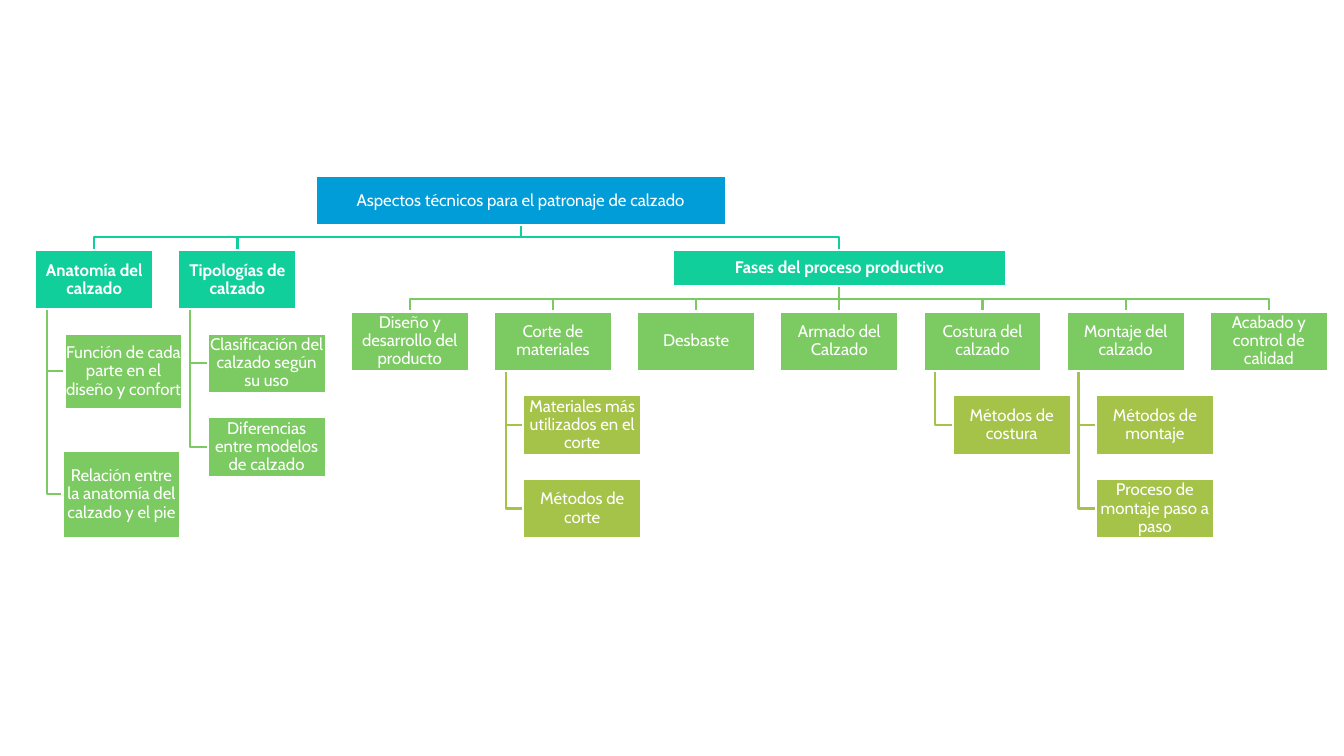
from dataclasses import dataclass, field
from typing import Iterator

import pptx
import pptx.dml.color
import pptx.enum.shapes
import pptx.enum.text
import pptx.oxml
import pptx.oxml.ns
import pptx.util

Inches = pptx.util.Inches
Pt = pptx.util.Pt

FONT = "Cabin"
WHITE, BLUE, TEAL, GREEN, OLIVE = "FFFFFF", "009DD9", "10CF9B", "7CCA62", "A5C249"
BOX_W, BOX_H = 1.17, 0.59
COLUMN, ROW, INDENT = 1.42, 0.83, 0.29
TOPIC_Y, PHASE_X, PHASE_Y = 2.48, 3.48, 3.09


@dataclass
class Node:
    text: str
    x: float
    y: float
    fill: str
    w: float = BOX_W
    h: float = BOX_H
    bold: bool = False
    hanging: bool = True  # children hang below the left edge
    children: list["Node"] = field(default_factory=list)

    @property
    def center(self) -> float:
        return self.x + self.w / 2

    @property
    def bottom(self) -> float:
        return self.y + self.h


def rgb(value: str) -> pptx.dml.color.RGBColor:
    return pptx.dml.color.RGBColor.from_string(value)


def hang(parent: Node, texts: list[str], fill: str) -> Node:
    """Stack child boxes below a parent, indented to the right."""
    parent.children = [
        Node(text, parent.x + INDENT, parent.y + ROW * row, fill)
        for row, text in enumerate(texts, 1)
    ]
    return parent


def walk(node: Node) -> Iterator[Node]:
    yield node
    for child in node.children:
        yield from walk(child)


def add_elbow(s, parent: Node, child: Node) -> None:
    if parent.hanging:
        trunk, middle = parent.x + parent.w / 10, child.y + child.h / 2
        points = [(trunk, parent.bottom), (trunk, middle), (child.x, middle)]
    else:
        bus = (parent.bottom + child.y) / 2
        points = [(parent.center, parent.bottom), (parent.center, bus),
                  (child.center, bus), (child.center, child.y)]
    start, *rest = [(Inches(x), Inches(y)) for x, y in points]
    builder = s.shapes.build_freeform(*start)
    builder.add_line_segments(rest, close=False)
    sp = builder.convert_to_shape()
    sp.shadow.inherit = False
    sp.fill.background()
    sp.line.color.rgb = rgb(child.fill)
    sp.line.width = Pt(1.5)


def add_straight(s, parent: Node, child: Node):
    cx = s.shapes.add_connector(
        pptx.enum.shapes.MSO_CONNECTOR.STRAIGHT, Inches(parent.center),
        Inches(parent.bottom), Inches(child.center), Inches(child.y))
    cx.line.color.rgb = rgb(child.fill)
    cx.line.width = Pt(1.5)
    cx._element.spPr.append(pptx.oxml.parse_xml(
        f"<a:effectLst {pptx.oxml.ns.nsdecls('a')}/>"))
    return cx


def add_box(s, node: Node):
    sp = s.shapes.add_shape(
        pptx.enum.shapes.MSO_SHAPE.RECTANGLE,
        Inches(node.x), Inches(node.y), Inches(node.w), Inches(node.h))
    sp.shadow.inherit = False
    sp.fill.solid()
    sp.fill.fore_color.rgb = rgb(node.fill)
    sp.line.color.rgb = rgb(WHITE)
    sp.line.width = Pt(1.5)
    tf = sp.text_frame
    tf.word_wrap = True
    tf.vertical_anchor = pptx.enum.text.MSO_ANCHOR.MIDDLE
    tf.margin_left = tf.margin_right = tf.margin_top = tf.margin_bottom = Inches(0.01)
    p = tf.paragraphs[0]
    p.alignment = pptx.enum.text.PP_ALIGN.CENTER
    p.line_spacing = 0.9
    r = p.add_run()
    r.text = node.text
    r.font.name, r.font.size, r.font.bold = FONT, Pt(12), node.bold
    r.font.color.rgb = rgb(WHITE)
    return sp


def build_tree() -> Node:
    # Topics on the left
    anatomy = Node("Anatomía del calzado", 0.35, TOPIC_Y, TEAL, bold=True, children=[
        Node("Función de cada parte en el diseño y confort", 0.64, 3.31, GREEN, h=0.75),
        Node("Relación entre la anatomía del calzado y el pie", 0.62, 4.47, GREEN, h=0.87),
    ])
    types = hang(
        Node("Tipologías de calzado", 0.35 + COLUMN, TOPIC_Y, TEAL, bold=True),
        ["Clasificación del calzado según su uso",
         "Diferencias entre modelos de calzado"], GREEN)

    # Production phases, one per column
    phases = [
        ("Diseño y desarrollo del producto", []),
        ("Corte de materiales", ["Materiales más utilizados en el corte", "Métodos de corte"]),
        ("Desbaste", []),
        ("Armado del Calzado", []),
        ("Costura del calzado", ["Métodos de costura"]),
        ("Montaje del calzado", ["Métodos de montaje", "Proceso de montaje paso a paso"]),
        ("Acabado y control de calidad", []),
    ]
    process = Node(
        "Fases del proceso productivo", 6.67, TOPIC_Y, TEAL, w=3.31, h=0.36,
        bold=True, hanging=False, children=[
            hang(Node(text, PHASE_X + COLUMN * i, PHASE_Y, GREEN), methods, OLIVE)
            for i, (text, methods) in enumerate(phases)
        ])
    return Node("Aspectos técnicos para el patronaje de calzado", 3.13, 1.75, BLUE,
                w=4.07, h=0.48, hanging=False, children=[anatomy, types, process])


def main() -> None:
    prs = pptx.Presentation()
    prs.slide_width, prs.slide_height = Inches(13.33), Inches(7.5)
    s = prs.slides.add_slide(prs.slide_layouts[6])
    nodes = list(walk(build_tree()))

    # Lines go behind the boxes
    straight = []
    for parent in nodes:
        for child in parent.children:
            if not parent.hanging and abs(parent.center - child.center) < 0.01:
                straight.append((add_straight(s, parent, child), parent, child))
            else:
                add_elbow(s, parent, child)

    # Boxes, then the joins of the straight lines
    boxes = {node.text: add_box(s, node) for node in nodes}
    for cx, parent, child in straight:
        cx.begin_connect(boxes[parent.text], 2)
        cx.end_connect(boxes[child.text], 0)

    prs.save("out.pptx")


if __name__ == "__main__":
    main()
